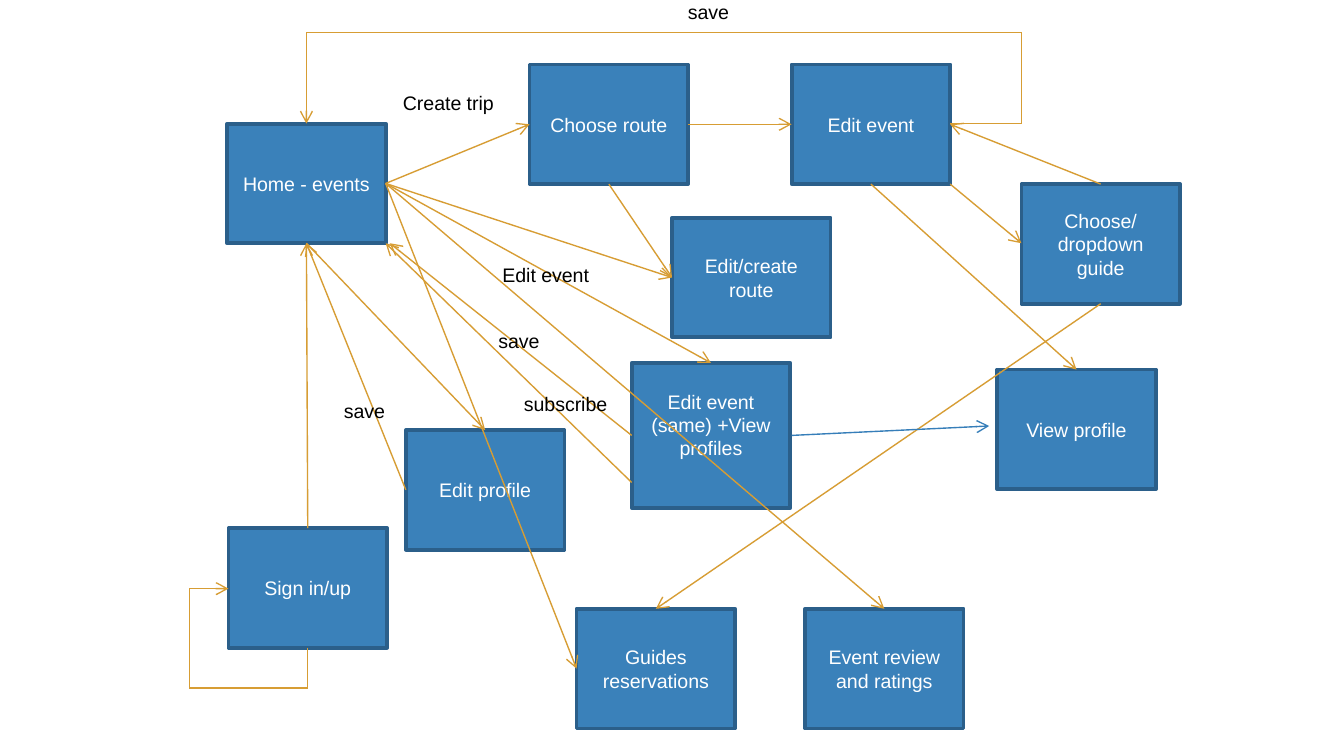
from itertools import pairwise
from lxml.etree import SubElement
from pptx import Presentation
from pptx.dml.color import RGBColor
from pptx.enum.shapes import MSO_CONNECTOR, MSO_SHAPE
from pptx.enum.text import MSO_ANCHOR, PP_ALIGN
from pptx.oxml.ns import qn
from pptx.util import Inches, Pt

BLUE = RGBColor(0x3A, 0x81, 0xBA)
DARK_BLUE = RGBColor(0x2B, 0x5F, 0x8A)
LINK_BLUE = RGBColor(0x36, 0x7E, 0xB9)
GOLD = RGBColor(0xD7, 0x9D, 0x34)
WHITE = RGBColor(0xFF, 0xFF, 0xFF)
BLACK = RGBColor(0, 0, 0)
TOP, LEFT, BOTTOM, RIGHT = range(4)

prs = Presentation()
prs.slide_width = Inches(10)
prs.slide_height = prs.slide_width * 9 // 16
slide = prs.slides.add_slide(prs.slide_layouts[6])


def write(frame, text, color):
    frame.text = text
    font = frame.paragraphs[0].runs[0].font
    font.name, font.size = "Arial", Pt(10.5)
    font.color.rgb = color


def draw_line(start, end, color=GOLD, arrow=True):
    line = slide.shapes.add_connector(
        MSO_CONNECTOR.STRAIGHT, *[Inches(v) for v in (*start, *end)])
    line.line.color.rgb = color
    line.line.width = Pt(0.75)
    properties = line._element.spPr
    if arrow:
        SubElement(properties.find(qn("a:ln")), qn("a:tailEnd"), type="arrow")
    SubElement(properties, qn("a:effectLst"))
    return line


screens = {}
for name, left, top, height in [
    ("Home - events", 1.69, 0.92, 0.89),
    ("Choose route", 3.94, 0.48, 0.89),
    ("Edit event", 5.89, 0.48, 0.89),
    ("Choose/dropdown guide", 7.6, 1.37, 0.89),
    ("View profile", 7.42, 2.75, 0.89),
    ("Edit/create route", 5, 1.62, 0.89),
    ("Sign in/up", 1.7, 3.93, 0.89),
    ("Edit profile", 3.02, 3.2, 0.89),
    ("Edit event (same) +View profiles", 4.7, 2.7, 1.08),
    ("Guides reservations", 4.29, 4.53, 0.89),
    ("Event review and ratings", 5.99, 4.53, 0.89),
]:
    screen = slide.shapes.add_shape(
        MSO_SHAPE.RECTANGLE, Inches(left), Inches(top), Inches(1.18), Inches(height))
    screen.shadow.inherit = False
    screen.fill.solid()
    screen.fill.fore_color.rgb = BLUE
    screen.line.color.rgb = DARK_BLUE
    screen.line.width = Pt(2)
    write(screen.text_frame, name, WHITE)
    screen.text_frame.word_wrap = True
    screen.text_frame.vertical_anchor = MSO_ANCHOR.MIDDLE
    screen.text_frame.paragraphs[0].alignment = PP_ALIGN.CENTER
    screens[name] = screen
screens["Edit event (same) +View profiles"].text_frame.margin_bottom = Inches(0.21)

for source, source_side, target, target_side in [
    ("Home - events", RIGHT, "Choose route", LEFT),
    ("Choose route", RIGHT, "Edit event", LEFT),
    ("Choose route", BOTTOM, "Edit/create route", LEFT),
    ("Choose/dropdown guide", TOP, "Edit event", RIGHT),
    ("Edit event", BOTTOM, "View profile", TOP),
    ("Home - events", RIGHT, "Edit/create route", LEFT),
    ("Sign in/up", TOP, "Home - events", BOTTOM),
    ("Home - events", BOTTOM, "Edit profile", TOP),
    ("Edit profile", LEFT, "Home - events", BOTTOM),
    ("Home - events", RIGHT, "Edit event (same) +View profiles", TOP),
    ("Home - events", RIGHT, "Guides reservations", LEFT),
    ("Home - events", RIGHT, "Event review and ratings", TOP),
    ("Choose/dropdown guide", BOTTOM, "Guides reservations", TOP),
]:
    flow = draw_line((0, 0), (1, 1))
    flow.begin_connect(screens[source], source_side)
    flow.end_connect(screens[target], target_side)

for start, end, color in [
    ((7.07, 1.37), (7.6, 1.81), GOLD),
    ((4.7, 3.24), (2.9, 1.81), GOLD),
    ((4.7, 3.59), (2.87, 1.81), GOLD),
    ((5.89, 3.24), (7.36, 3.17), LINK_BLUE),
]:
    draw_line(start, end, color)

save_loop = [(7.07, 0.92), (7.6, 0.92), (7.6, 0.24), (2.28, 0.24), (2.28, 0.92)]
sign_in_loop = [(2.29, 4.82), (2.29, 5.12), (1.41, 5.12), (1.41, 4.38), (1.7, 4.38)]
for loop in (save_loop, sign_in_loop):
    for start, end in pairwise(loop):
        draw_line(start, end, arrow=end == loop[-1])

for action, left, top in [
    ("Create trip", 2.9, 0.63),
    ("save", 5.02, -0.05),
    ("save", 2.46, 2.92),
    ("Edit event", 3.64, 1.91),
    ("save", 3.61, 2.4),
    ("subscribe", 3.8, 2.87),
]:
    label = slide.shapes.add_textbox(Inches(left), Inches(top), Inches(0.89), Inches(0.28))
    write(label.text_frame, action, BLACK)
    label.text_frame.word_wrap = True

prs.save("out.pptx")
